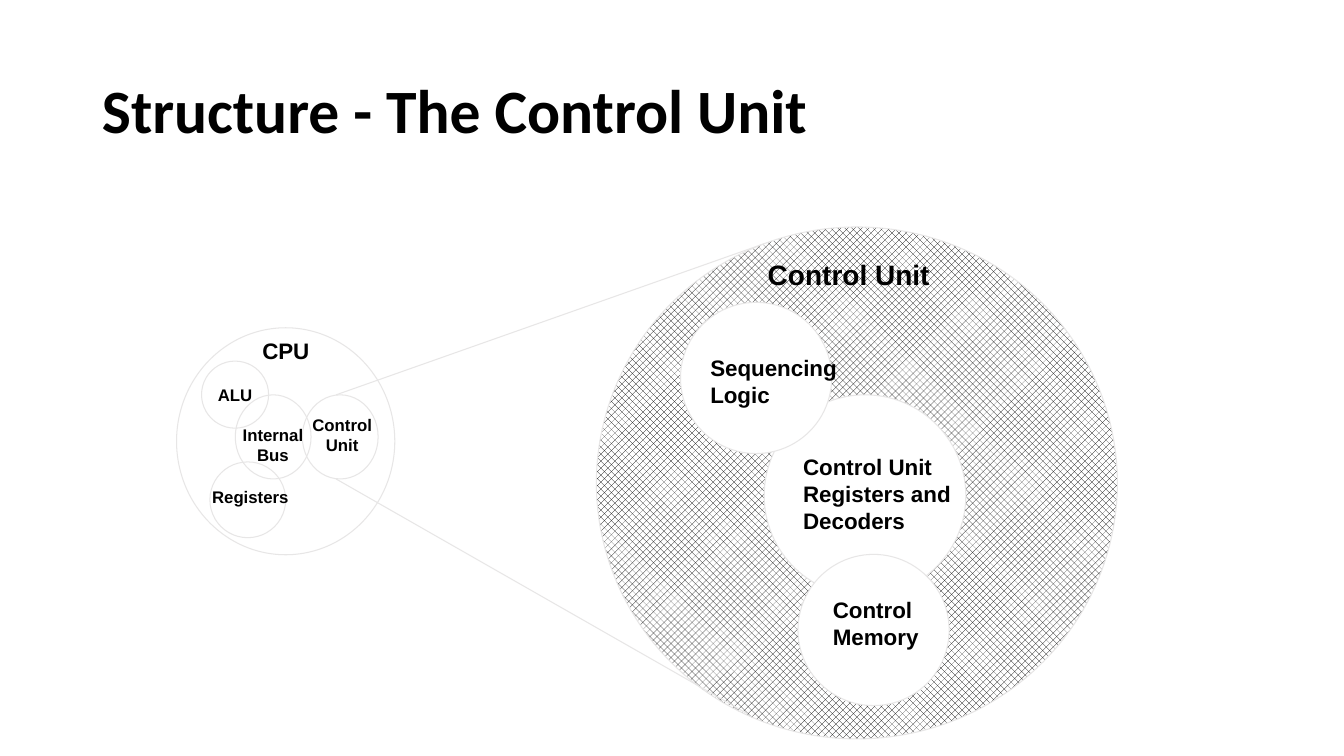
from pptx import Presentation
from pptx.dml.color import RGBColor as Rgb
from pptx.enum.dml import MSO_PATTERN as Pat
from pptx.enum.shapes import MSO_CONNECTOR as Conn, MSO_SHAPE as Geo
from pptx.enum.text import MSO_ANCHOR as Anchor, MSO_AUTO_SIZE as Auto, PP_ALIGN as Align
from pptx.util import Cm, Pt
from lxml import etree

hues = {"ink": "000000", "paper": "FFFFFF", "edge": "E7E6E6"}
tint = {name: Rgb.from_string(code) for name, code in hues.items()}


def write(shape, text, size=16, font="Arial", align=Align.LEFT,
          anchor=Anchor.TOP, wrap=False, fit=Auto.NONE, space=1.0):
    frame = shape.text_frame
    frame.word_wrap = wrap
    frame.auto_size = fit
    frame.vertical_anchor = anchor
    for i, line in enumerate(text.split("\n")):
        para = frame.paragraphs[0] if i == 0 else frame.add_paragraph()
        para.alignment = align
        para.line_spacing = space
        run = para.add_run()
        run.text = line
        run.font.size = Pt(size)
        run.font.name = font
        run.font.bold = True
        run.font.color.rgb = tint["ink"]


deck = Presentation()
deck.slide_width, deck.slide_height = Cm(33.87), Cm(19.05)
slide = deck.slides.add_slide(deck.slide_layouts[6])
shapes = slide.shapes

title = shapes.add_textbox(Cm(2.32), Cm(1.01), Cm(29.21), Cm(3.68))
write(title, "Structure - The Control Unit", size=44, font="Calibri",
      anchor=Anchor.MIDDLE, wrap=True, space=0.9)

left = {"size": 16}
mid = {"size": 12, "align": Align.CENTER, "anchor": Anchor.MIDDLE}

discs = [
    ("", "hatch", 15.03, 5.72, 13.13, 12.9),
    ("", "paper", 19.26, 9.95, 5.08, 5.08),
    ("", "paper", 17.15, 7.62, 3.81, 3.81),
    ("", "clear", 4.45, 8.26, 5.5, 5.72),
    ("", "paper", 20.11, 13.97, 3.81, 3.81),
    ("", "clear", 7.62, 9.95, 1.91, 2.12),
    ("ALU", "clear", 5.08, 9.1, 1.69, 1.69),
    ("", "clear", 5.29, 11.64, 1.91, 1.91),
    ("", "clear", 5.93, 9.95, 1.91, 2.12),
]
for text, look, *place in discs:
    disc = shapes.add_shape(Geo.OVAL, *map(Cm, place))
    disc.shadow.inherit = False
    disc.line.color.rgb = tint["edge"]
    disc.line.width = Pt(0.75)
    if look == "hatch":
        disc.fill.patterned()
        disc.fill.pattern = Pat.PERCENT_50
        disc.fill.fore_color.rgb = tint["ink"]
        disc.fill.back_color.rgb = tint["paper"]
    elif look == "paper":
        disc.fill.solid()
        disc.fill.fore_color.rgb = tint["paper"]
    else:
        disc.fill.background()
    if text:
        write(disc, text, **mid)

rays = [(8.47, 9.95, 19.26, 6.14), (8.47, 12.07, 18.84, 17.99)]
for ends in rays:
    ray = shapes.add_connector(Conn.STRAIGHT, *map(Cm, ends))
    ray.line.color.rgb = tint["edge"]
    ray.line.width = Pt(0.75)
    props = ray._element.spPr
    etree.SubElement(props, props.tag.split("}")[0].replace(
        "presentationml", "drawingml") + "}effectLst")

labels = [
    ("CPU", left, 6.36, 8.38, 1.7, 0.94),
    ("Control\nMemory", left, 20.74, 14.89, 2.69, 1.63),
    ("Control Unit\nRegisters and\nDecoders", left, 19.99, 11.3, 4.39, 2.29),
    ("Sequencing\nLogic", left, 17.65, 8.81, 3.73, 1.63),
    ("Control\nUnit", mid, 7.61, 10.31, 2.03, 1.3),
    ("Registers", mid, 5.09, 12.12, 2.44, 0.79),
    ("Internal\nBus", mid, 5.85, 10.56, 2.06, 1.3),
    ("Control Unit", mid | {"size": 20}, 19.08, 6.35, 4.62, 1.12),
]
for text, style, *place in labels:
    label = shapes.add_textbox(*map(Cm, place))
    write(label, text, fit=Auto.SHAPE_TO_FIT_TEXT, **style)

deck.save("out.pptx")
